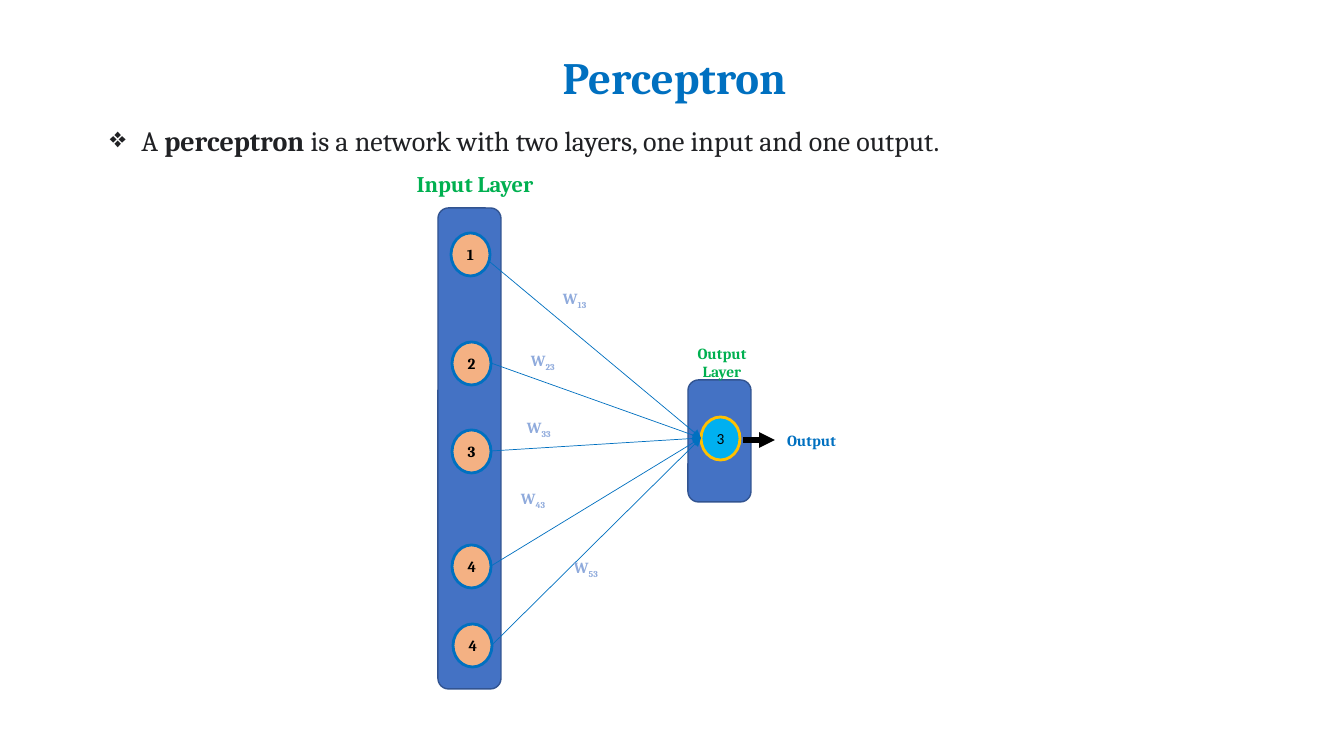
"""Build a slide that explains a perceptron with its input and output layers."""
import lxml.etree
import pptx
import pptx.dml.color
import pptx.enum.shapes
import pptx.enum.text
import pptx.oxml.ns
import pptx.util

RGB = pptx.dml.color.RGBColor
BLUE = RGB(0x00, 0x70, 0xC0)
INK = RGB(0x20, 0x21, 0x24)
GREEN = RGB(0x00, 0xB0, 0x50)
PANEL = RGB(0x44, 0x72, 0xC4)
PANEL_EDGE = RGB(0x32, 0x54, 0x91)
PEACH = RGB(0xF4, 0xB1, 0x83)
SKY = RGB(0x00, 0xB0, 0xF0)
GOLD = RGB(0xFF, 0xC0, 0x00)
PALE_BLUE = RGB(0x8F, 0xAA, 0xDC)
BLACK = RGB(0, 0, 0)

MSO_SHAPE = pptx.enum.shapes.MSO_SHAPE
ALIGN = pptx.enum.text.PP_ALIGN
ANCHOR = pptx.enum.text.MSO_ANCHOR
EMU_PER_PX = 914400 / 100.8

TITLE = "Perceptron "
DEFINITION = [
    (" A ", {}),
    ("perceptron", {"bold": True}),
    (" is a network with two layers, one input and one output.", {}),
]
PANELS = [(438, 208, 63, 481), (688, 380, 63, 122)]
NODE_WIDTH, NODE_HEIGHT = 39, 43
INPUTS = [
    {"name": "1", "at": (451, 233), "exit": 29, "weight": "13", "weight_at": (553, 284)},
    {"name": "2", "at": (452, 342), "exit": 21, "weight": "23", "weight_at": (521, 346)},
    {"name": "3", "at": (452, 430), "exit": 21, "weight": "33", "weight_at": (517, 413)},
    {"name": "4", "at": (452, 545), "exit": 21, "weight": "43", "weight_at": (511, 484)},
    {"name": "4", "at": (453, 624), "exit": 21, "weight": "53", "weight_at": (564, 553)},
]
OUTPUT_NODE = ("3", (701, 417))
OUTPUT_ARROW = ((743, 440), (775, 440))
CAPTIONS = [
    ("Input Layer", (387, 165, 176, 37), {"size": 16, "color": GREEN}),
    ("Output Layer", (679, 339, 86, 47), {"color": GREEN}),
    ("Output", (775, 426, 73, 29), {"color": BLUE, "wrap": False}),
]


def px(*lengths):
    return [pptx.util.Emu(round(length * EMU_PER_PX)) for length in lengths]


def write(shape, runs, size=11, color=BLACK, bold=False, font="Cambria", align=ALIGN.CENTER,
          anchor=ANCHOR.TOP, wrap=True, line_spacing=1.0):
    frame = shape.text_frame
    frame.word_wrap = wrap
    frame.vertical_anchor = anchor
    paragraph = frame.paragraphs[0]
    paragraph.alignment = align
    paragraph.line_spacing = line_spacing
    for text, style in runs:
        run = paragraph.add_run()
        run.text = text
        run.font.name = font
        run.font.size = pptx.util.Pt(size)
        run.font.bold = style.get("bold", bold)
        run.font.color.rgb = color
        if "baseline" in style:
            run.font._element.set("baseline", str(style["baseline"]))
    return paragraph


def add_text(slide, box, runs, **style):
    return write(slide.shapes.add_textbox(*px(*box)), runs, **style)


def add_filled(slide, kind, box, fill, edge, edge_width):
    shape = slide.shapes.add_shape(kind, *px(*box))
    shape.shadow.inherit = False
    shape.fill.solid()
    shape.fill.fore_color.rgb = fill
    shape.line.color.rgb = edge
    shape.line.width = pptx.util.Pt(edge_width)
    return shape


def add_node(slide, name, at, fill, edge, **style):
    box = (*at, NODE_WIDTH, NODE_HEIGHT)
    node = add_filled(slide, MSO_SHAPE.OVAL, box, fill, edge, 2)
    write(node, [(name, {})], anchor=ANCHOR.MIDDLE, **style)


def add_arrow(slide, start, end, color, width):
    straight = pptx.enum.shapes.MSO_CONNECTOR.STRAIGHT
    arrow = slide.shapes.add_connector(straight, *px(*start, *end))
    arrow.line.color.rgb = color
    arrow.line.width = pptx.util.Pt(width)
    qn = pptx.oxml.ns.qn
    lxml.etree.SubElement(arrow.line._get_or_add_ln(), qn("a:tailEnd"), type="triangle")
    lxml.etree.SubElement(arrow._element.spPr, qn("a:effectLst"))


def add_bullet(paragraph, mark, indent):
    paragraph.space_before = pptx.util.Pt(10)
    properties = paragraph._p.get_or_add_pPr()
    properties.set("marL", str(pptx.util.Inches(indent)))
    properties.set("indent", str(-pptx.util.Inches(indent)))
    lxml.etree.SubElement(properties, pptx.oxml.ns.qn("a:buChar"), char=mark)


def main():
    presentation = pptx.Presentation()
    presentation.slide_width, presentation.slide_height = px(1344, 756)
    slide = presentation.slides.add_slide(presentation.slide_layouts[6])

    add_text(slide, (100, 45, 1159, 69), [(TITLE, {})], size=32, color=BLUE, bold=True,
             anchor=ANCHOR.MIDDLE, line_spacing=0.9)
    definition = add_text(slide, (100, 122, 1159, 41), DEFINITION, size=20, color=INK,
                          align=ALIGN.LEFT, line_spacing=0.9)
    add_bullet(definition, "❖", 0.25)

    for box in PANELS:
        add_filled(slide, MSO_SHAPE.ROUNDED_RECTANGLE, box, PANEL, PANEL_EDGE, 1)

    output_name, (output_left, output_top) = OUTPUT_NODE
    add_node(slide, output_name, (output_left, output_top), SKY, GOLD, font="Calibri")
    target = (output_left, output_top + NODE_HEIGHT // 2)
    for item in INPUTS:
        left, top = item["at"]
        add_node(slide, item["name"], item["at"], PEACH, BLUE, bold=True)
        add_arrow(slide, (left + NODE_WIDTH, top + item["exit"]), target, BLUE, 0.5)
        weight = [("W", {}), (item["weight"], {"baseline": -25000})]
        add_text(slide, (*item["weight_at"], 86, 29), weight, color=PALE_BLUE, bold=True,
                 align=ALIGN.LEFT)

    add_arrow(slide, *OUTPUT_ARROW, BLACK, 3.75)
    for caption, box, style in CAPTIONS:
        add_text(slide, box, [(caption, {})], bold=True, **style)

    presentation.save("out.pptx")


if __name__ == "__main__":
    main()
